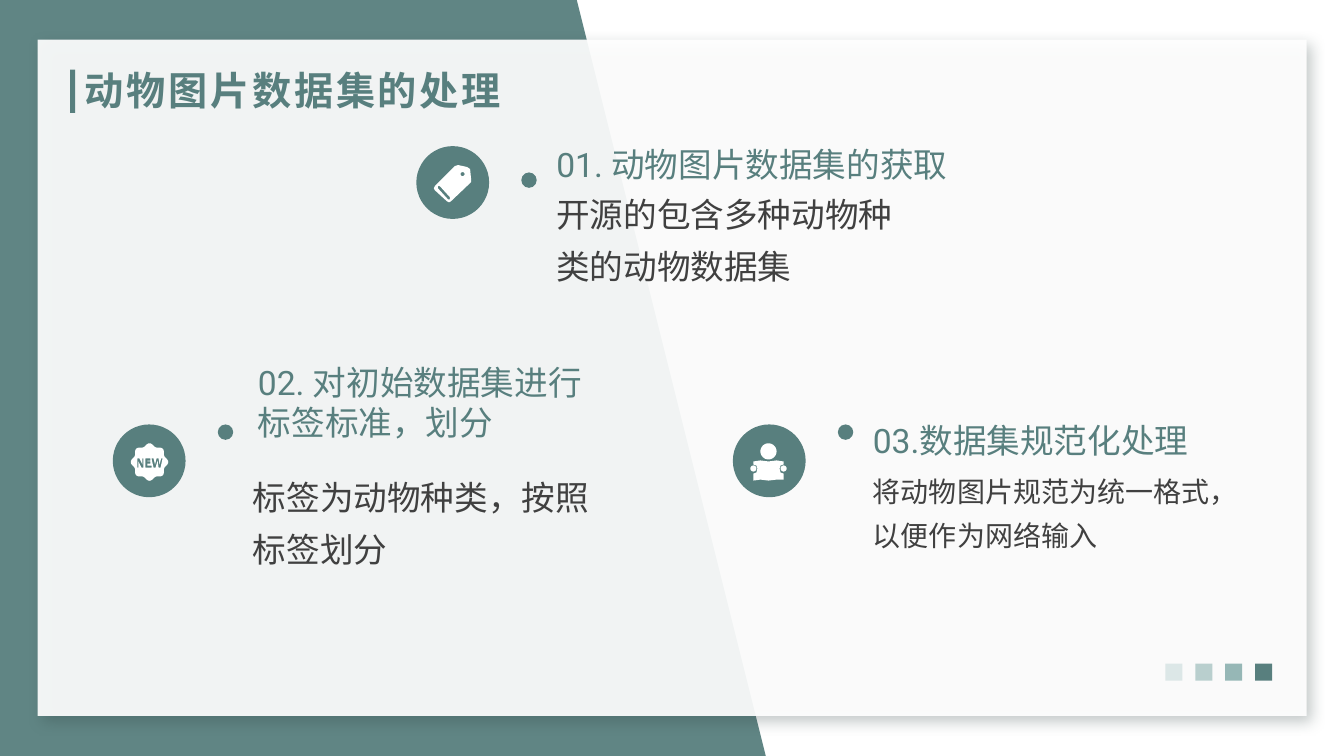
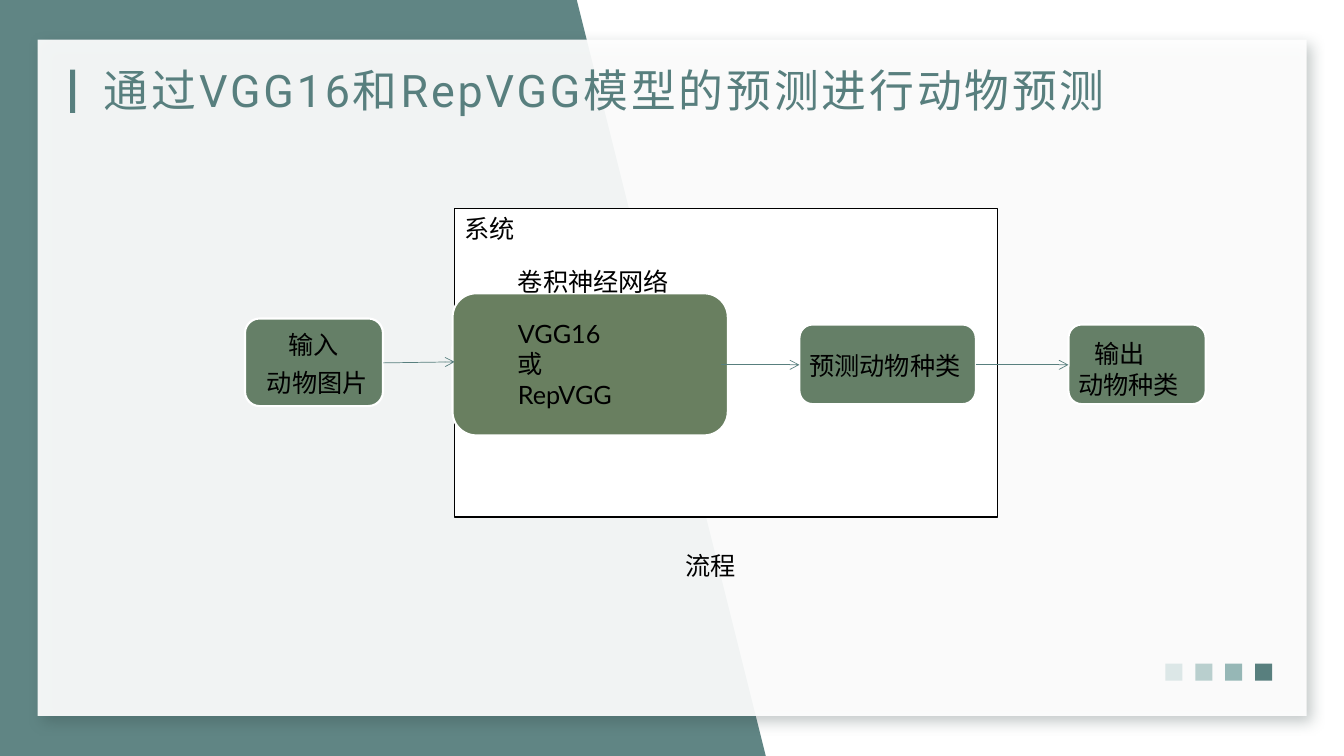
from math import cos, pi, sin

from lxml import etree
from pptx import Presentation
from pptx import util as u
from pptx.dml.color import RGBColor
from pptx.enum import shapes, text
from pptx.oxml.ns import qn

TEAL = RGBColor(0x58, 0x7F, 0x7E)
TEAL_TINTS = (RGBColor(0xDC, 0xE7, 0xE7), RGBColor(0xB9, 0xCF, 0xCE),
              RGBColor(0x96, 0xB7, 0xB6), TEAL)
SHADOW = RGBColor(0x2C, 0x40, 0x3F)
GREEN = RGBColor(0x65, 0x7F, 0x67)
OLIVE = RGBColor(0x69, 0x7F, 0x60)
GREY = RGBColor(0x40, 0x40, 0x40)
BLACK = RGBColor(0, 0, 0)
WHITE = RGBColor(0xFF, 0xFF, 0xFF)

WIDTH, HEIGHT = 960, 540
DISC = 52
ICON_UNIT = 0.72


def ring(x, y, radius, wave=0, lobes=0, count=48):
    """Return the points of a circle, scalloped when wave is set."""
    points = []
    for step in range(count):
        angle = 2 * pi * step / count
        reach = radius + wave * cos(lobes * angle)
        points.append((x + reach * cos(angle), y + reach * sin(angle)))
    return points


TAG_ICON = [
    [(37, 14), (36, 4), (33, 2), (24, 0), (21, 1), (1, 21), (0, 23), (1, 25),
     (13, 36), (15, 37), (17, 36), (37, 17)],
    [(16, 34), (14, 34), (4, 23), (4, 21), (6, 21), (16, 32)],
    ring(28.5, 9, 2),
]
NEW_ICON = [
    ring(19, 18.5, 17.2, wave=1.4, lobes=8, count=96),
    [(7, 24), (7, 15), (9, 15), (12, 21), (12, 15), (13, 15), (13, 24),
     (11, 24), (8, 18), (8, 24)],
    [(15, 24), (15, 15), (20, 15), (20, 17), (17, 17), (17, 18), (20, 18),
     (20, 20), (17, 20), (17, 22), (21, 22), (21, 24)],
    [(23, 24), (21, 15), (23, 15), (24.5, 21), (26, 15), (28, 15), (29, 21),
     (30.5, 15), (32, 15), (30, 24), (28, 24), (27, 17), (25, 24)],
]
READER_ICON = [
    ring(18, 8, 8),
    [(3, 18), (10, 17), (18, 18), (26, 17), (33, 18), (33, 21), (30, 22),
     (29, 25), (30, 29), (33, 30), (33, 36), (26, 36), (18, 37), (10, 36),
     (3, 37), (3, 30), (6, 29), (7, 25), (6, 22), (3, 21)],
    ring(3, 25, 3),
    ring(33, 25, 3),
]


class Deck:
    """Holds the shared style and the slide being filled."""

    def __init__(self):
        """Start a widescreen presentation."""
        self.presentation = Presentation()
        self.presentation.slide_width = u.Pt(WIDTH)
        self.presentation.slide_height = u.Pt(HEIGHT)
        self.slide = None

    def paint(self, shape, fill, alpha=100, line=None, weight=1):
        """Apply fill, transparency and outline, and drop the shadow."""
        shape.shadow.inherit = False
        shape.fill.solid()
        shape.fill.fore_color.rgb = fill
        if alpha < 100:
            color = shape.fill._xPr.find(qn("a:solidFill"))[0]
            etree.SubElement(color, qn("a:alpha"), val=str(alpha * 1000))
        if line is None:
            shape.line.fill.background()
        else:
            shape.line.color.rgb = line
            shape.line.width = u.Pt(weight)
        return shape

    def shape(self, kind, left, top, width, height, fill, **style):
        """Add a preset shape."""
        shape = self.slide.shapes.add_shape(
            kind, u.Pt(left), u.Pt(top), u.Pt(width), u.Pt(height))
        return self.paint(shape, fill, **style)

    def rectangle(self, *box, **style):
        """Add a rectangle."""
        return self.shape(shapes.MSO_SHAPE.RECTANGLE, *box, **style)

    def circle(self, left, top, size):
        """Add a teal circle."""
        return self.shape(shapes.MSO_SHAPE.OVAL, left, top, size, size, TEAL)

    def node(self, *box):
        """Add a rounded flow box with a white edge."""
        return self.shape(shapes.MSO_SHAPE.ROUNDED_RECTANGLE, *box,
                          line=WHITE, weight=1.5)

    def outline(self, contours, fill, left=0, top=0, unit=1, alpha=100):
        """Add a shape made of closed polygons."""
        contours = [[(u.Pt(x * unit), u.Pt(y * unit)) for x, y in contour]
                    for contour in contours]
        builder = self.slide.shapes.build_freeform(*contours[0][0])
        for index, contour in enumerate(contours):
            if index:
                builder.move_to(*contour[0])
            builder.add_line_segments(contour[1:], close=True)
        shape = builder.convert_to_shape(u.Pt(left), u.Pt(top))
        return self.paint(shape, fill, alpha=alpha)

    def icon(self, left, top, contours):
        """Add a white icon on a teal disc."""
        self.circle(left, top, DISC)
        self.outline(contours, WHITE, left + 12.5, top + 13.5, ICON_UNIT)

    def arrow(self, start, end):
        """Add a thin teal arrow."""
        line = self.slide.shapes.add_connector(
            shapes.MSO_CONNECTOR.STRAIGHT, *map(u.Pt, start + end))
        line.line.color.rgb = TEAL
        line.line.width = u.Pt(0.5)
        etree.SubElement(line.line._get_or_add_ln(), qn("a:tailEnd"),
                         type="arrow")
        etree.SubElement(line._element.spPr, qn("a:effectLst"))

    def text(self, left, top, width, height, lines, size=18, color=BLACK,
             font="Lato", inset=(7.2, 3.6), wrap=True, spacing=None,
             bold=False, tracking=0, middle=False, grow=True, indent=0):
        """Add a text box; indent shifts its first paragraph."""
        box = self.slide.shapes.add_textbox(
            u.Pt(left), u.Pt(top), u.Pt(width), u.Pt(height))
        frame = box.text_frame
        frame.word_wrap = wrap
        frame.auto_size = (text.MSO_AUTO_SIZE.SHAPE_TO_FIT_TEXT if grow
                           else text.MSO_AUTO_SIZE.NONE)
        frame.margin_left = frame.margin_right = u.Pt(inset[0])
        frame.margin_top = frame.margin_bottom = u.Pt(inset[1])
        if middle:
            frame.vertical_anchor = text.MSO_ANCHOR.MIDDLE
        for index, line in enumerate(lines):
            paragraph = frame.add_paragraph() if index else frame.paragraphs[0]
            if spacing:
                paragraph.line_spacing = spacing
            if indent and not index:
                paragraph._p.get_or_add_pPr().set("marL", str(u.Pt(indent)))
            run = paragraph.add_run()
            run.text = line
            run.font.size = u.Pt(size)
            run.font.name = font
            run.font.bold = bold
            run.font.color.rgb = color
            if tracking:
                run._r.get_or_add_rPr().set("spc", str(tracking * 100))

    def heading(self, left, top, width, height, lines):
        """Add a teal item heading."""
        self.text(left, top, width, height, lines, size=24, color=TEAL,
                  font="Roboto", inset=(0, 0), wrap=False)

    def body(self, left, top, width, height, line, size=24):
        """Add a grey item description."""
        self.text(left, top, width, height, [line], size=size, color=GREY,
                  font="Roboto", inset=(0, 0), spacing=1.3)

    def cast_shadow(self, shape):
        """Give a shape a soft shadow down and to the right."""
        effects = shape._element.spPr.find(qn("a:effectLst"))
        shadow = etree.SubElement(
            effects, qn("a:outerShdw"), blurRad=str(u.Pt(10)),
            dist=str(u.Pt(6)), dir="2700000", algn="tl", rotWithShape="0")
        color = etree.SubElement(shadow, qn("a:srgbClr"), val=str(SHADOW))
        etree.SubElement(color, qn("a:alpha"), val="30000")

    def new_slide(self, title, left, top, width, **style):
        """Start a slide with backdrop, card, corner squares and title."""
        blank = self.presentation.slide_layouts[6]
        self.slide = self.presentation.slides.add_slide(blank)
        self.outline([[(0, 0), (412, 0), (547, HEIGHT), (0, HEIGHT)]],
                     TEAL, alpha=95)
        self.cast_shadow(
            self.rectangle(26.8, 28.3, 906.5, 483, WHITE, alpha=92))
        for index, tint in enumerate(TEAL_TINTS):
            self.rectangle(832.4 + 21.4 * index, 474, 12.2, 12.2, tint)
        self.rectangle(50, 49.7, 3.6, 31, TEAL)
        self.text(left, top, width, 34.6, [title], color=TEAL, font="Roboto",
                  tracking=2, spacing=0.9, grow=False, **style)


def dataset_slide(deck):
    """Build the slide on preparing the data set."""
    deck.new_slide("动物图片数据集的处理", 53.3, 47.5, 379, size=28, bold=True)
    for left, top, contours, dot_top in (
            (297.4, 104.4, TAG_ICON, 123.2),
            (80.6, 303.2, NEW_ICON, 303.2),
            (523.5, 303.2, READER_ICON, 303.2)):
        deck.icon(left, top, contours)
        deck.circle(left + 75, dot_top, 11)

    deck.heading(397.4, 103, 291, 29, ["01. 动物图片数据集的获取"])
    deck.body(397.4, 129.6, 252, 75.6, "开源的包含多种动物种类的动物数据集")
    deck.heading(184.3, 258.5, 242.6, 58.3,
                 ["02. 对初始数据集进行", "标签标准，划分"])
    deck.body(180.7, 332, 246.2, 75.6, "标签为动物种类，按照标签划分")
    deck.heading(623.5, 300.2, 233.3, 29, ["03.数据集规范化处理"])
    deck.body(623.5, 332, 243.4, 63.4,
              "将动物图片规范为统一格式，以便作为网络输入", size=20)


def prediction_slide(deck):
    """Build the slide with the prediction flow."""
    deck.new_slide("通过VGG16和RepVGG模型的预测进行动物预测",
                   67, 49, 766, size=32, middle=True)
    deck.rectangle(324.7, 149, 388, 220.3, WHITE, line=BLACK)
    for box in ((175, 227.5, 98.6, 62.6, GREEN),
                (323.3, 209.5, 196.6, 101.5, OLIVE),
                (571, 231.8, 126, 56.9, GREEN),
                (763.2, 231.8, 98, 56.9, GREEN)):
        deck.node(*box)

    for start, end in (((273.6, 259.2), (324.7, 258.5)),
                       ((514.8, 260.6), (571, 260.6)),
                       ((697, 260.6), (763.2, 260.6))):
        deck.arrow(start, end)

    for left, top, width, height, lines in (
            (324.7, 149, 63.4, 29, ["系统"]),
            (198.7, 231.8, 51, 29, ["输入"]),
            (183.6, 258.5, 100.8, 29, ["动物图片"]),
            (362.9, 186.5, 137.5, 29, ["卷积神经网络"]),
            (362.9, 224, 152, 72.7, ["VGG16", "或", "RepVGG"]),
            (571, 247, 136, 29, ["预测动物种类"]),
            (482.4, 389.5, 121, 29, ["流程"])):
        deck.text(left, top, width, height, lines)
    deck.text(763.2, 238.3, 98, 51, ["输出", "动物种类"], indent=11.5)


deck = Deck()
dataset_slide(deck)
prediction_slide(deck)
deck.presentation.save("out.pptx")
